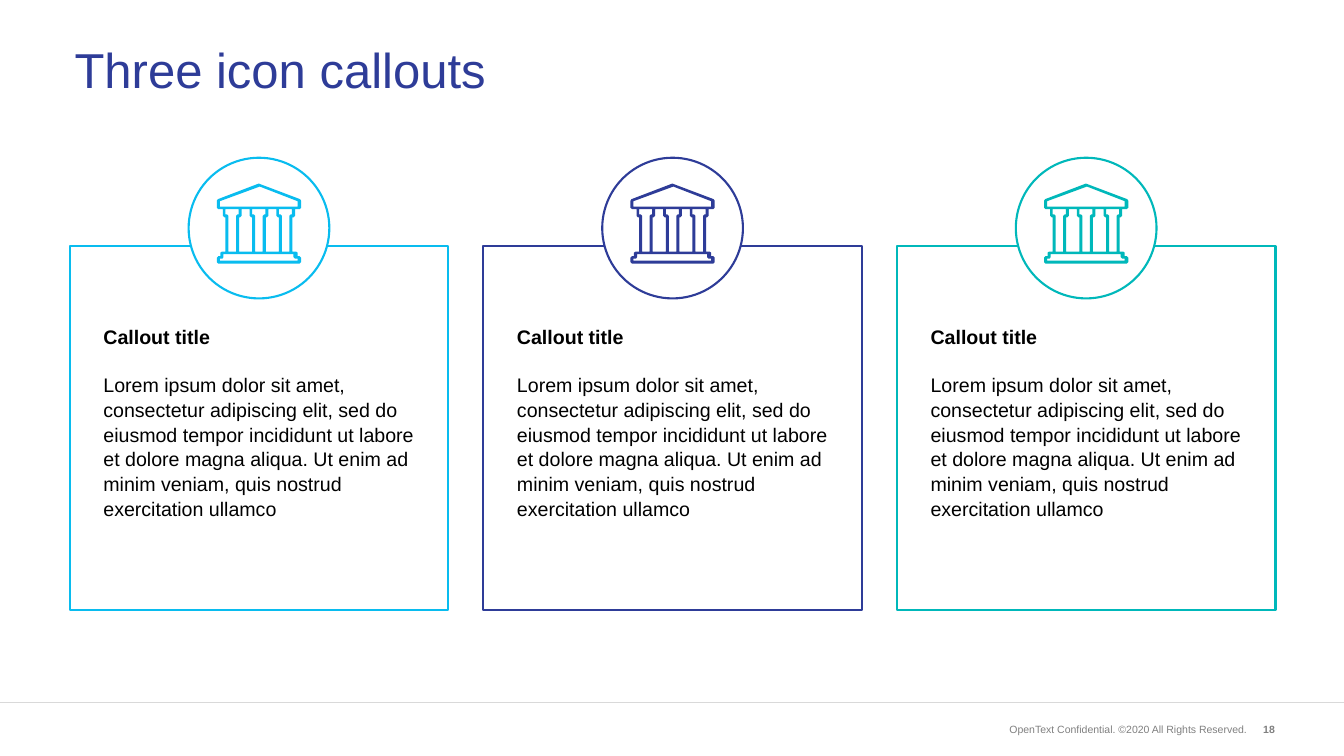
from pptx import Presentation
from pptx.dml.color import RGBColor
from pptx.enum.shapes import MSO_CONNECTOR, MSO_SHAPE
from pptx.enum.text import MSO_ANCHOR, PP_ALIGN
from pptx.oxml.ns import qn
from pptx.util import Cm, Pt
from lxml.etree import SubElement

WHITE = RGBColor(0xFF, 0xFF, 0xFF)
BLACK = RGBColor(0x00, 0x00, 0x00)
GRAY = RGBColor(0x80, 0x80, 0x80)
RULE = RGBColor(0xD9, 0xD9, 0xD9)
SKY = RGBColor(0x09, 0xBC, 0xEF)
NAVY = RGBColor(0x2E, 0x3C, 0x98)
TEAL = RGBColor(0x00, 0xB8, 0xBA)

WIDE, HIGH = 67.72, 38.1
UNIT = 0.0254
ICON = 167
BODY = (
    "Lorem ipsum dolor sit amet, consectetur adipiscing elit, sed do "
    "eiusmod tempor incididunt ut labore et dolore magna aliqua. Ut enim ad "
    "minim veniam, quis nostrud exercitation ullamco"
)

EDGE = [(2, 31), (0, 34), (0, 48), (3, 51), (12, 51), (12, 64), (15, 67),
        (17, 67), (17, 135), (10, 135), (7, 137), (7, 144), (3, 144),
        (0, 147), (0, 156), (3, 159)]
ROOF = [(6, 35), (85, 6), (160, 35), (160, 46), (6, 46)]
BASE = [(6, 153), (6, 149), (11, 149), (13, 146), (13, 140), (152, 140),
        (152, 146), (155, 149), (160, 149), (160, 153)]
SHAFT = [(17, 51), (43, 51), (43, 61), (41, 61), (38, 64), (38, 135),
         (23, 135), (23, 64), (20, 61), (17, 61)]
GAP = [(49, 51), (65, 51), (65, 64), (68, 67), (70, 67), (70, 135),
       (44, 135), (44, 67), (46, 67), (49, 64)]
PITCH = 53


def style(para, size, color, bold=False):
    for run in para.runs:
        run.font.name = "Arial"
        run.font.size = Pt(size)
        run.font.bold = bold
        run.font.color.rgb = color


def add_text(slide, box, text, size, color, bold=False, align=PP_ALIGN.LEFT):
    shape = slide.shapes.add_textbox(*map(Cm, box))
    frame = shape.text_frame
    frame.word_wrap = True
    frame.vertical_anchor = MSO_ANCHOR.MIDDLE
    frame.text = text
    para = frame.paragraphs[0]
    para.alignment = align
    style(para, size, color, bold)
    return para


def add_frame(slide, kind, box, color):
    shape = slide.shapes.add_shape(kind, *map(Cm, box))
    shape.shadow.inherit = False
    shape.fill.solid()
    shape.fill.fore_color.rgb = WHITE
    shape.line.color.rgb = color
    shape.line.width = Pt(3)
    return shape


def shift(points, step):
    return [(x + step, y) for x, y in points]


def add_bank(slide, left, top, color):
    outer = [(83, 0)] + EDGE + [(ICON - x, y) for x, y in reversed(EDGE)]
    holes = [ROOF, BASE]
    holes += [shift(SHAFT, PITCH * i) for i in range(3)]
    holes += [shift(GAP, PITCH * i) for i in range(2)]
    pen = slide.shapes.build_freeform(*outer[0], scale=Cm(UNIT))
    pen.add_line_segments(outer[1:], close=True)
    for hole in holes:
        pen.move_to(*hole[0])
        pen.add_line_segments(hole[1:], close=True)
    shape = pen.convert_to_shape(Cm(left), Cm(top))
    shape.shadow.inherit = False
    shape.fill.solid()
    shape.fill.fore_color.rgb = color
    shape.line.fill.background()


def add_callout(slide, box, color):
    left, top, width, height = box
    card = add_frame(slide, MSO_SHAPE.RECTANGLE, box, color)
    frame = card.text_frame
    frame.word_wrap = True
    frame.vertical_anchor = MSO_ANCHOR.TOP
    frame.margin_left = frame.margin_right = Cm(1.7)
    frame.margin_top, frame.margin_bottom = Cm(3.91), Cm(0.13)
    frame.text = "Callout title"
    head = frame.paragraphs[0]
    body = frame.add_paragraph()
    body.text = BODY
    body.space_before = Pt(33.7)
    for para in (head, body):
        para.alignment = PP_ALIGN.LEFT
        para.line_spacing = 1.05
        style(para, 28, BLACK, para is head)

    size = 7.09
    ring = (left + (width - size) / 2, top - 4.45, size, size)
    add_frame(slide, MSO_SHAPE.OVAL, ring, color)
    add_bank(slide, left + (width - ICON * UNIT) / 2, top - 3.15, color)


def add_footer(slide, top):
    line = slide.shapes.add_connector(
        MSO_CONNECTOR.STRAIGHT, 0, Cm(top), Cm(WIDE), Cm(top))
    line.line.color.rgb = RULE
    line.line.width = Pt(1)
    SubElement(line._element.spPr, qn("a:effectLst"))
    row = top + 0.91
    add_text(slide, (49.45, row, 13.64, 0.89),
             "OpenText Confidential. ©2020 All Rights Reserved.",
             15, GRAY, align=PP_ALIGN.RIGHT)
    add_text(slide, (62.69, row, 1.8, 0.89), "18", 15, GRAY, True,
             PP_ALIGN.RIGHT)


def main():
    deck = Presentation()
    deck.slide_width, deck.slide_height = Cm(WIDE), Cm(HIGH)
    slide = deck.slides.add_slide(deck.slide_layouts[6])
    add_footer(slide, 35.41)
    title = add_text(slide, (3.51, 0.97, 60.73, 5.38),
                     "Three icon callouts", 70, NAVY)
    title.line_spacing = 0.9
    for i, color in enumerate((SKY, NAVY, TEAL)):
        add_callout(slide, (3.51 + 20.84 * i, 12.4, 19.08, 18.34), color)
    deck.save("out.pptx")


if __name__ == "__main__":
    main()
